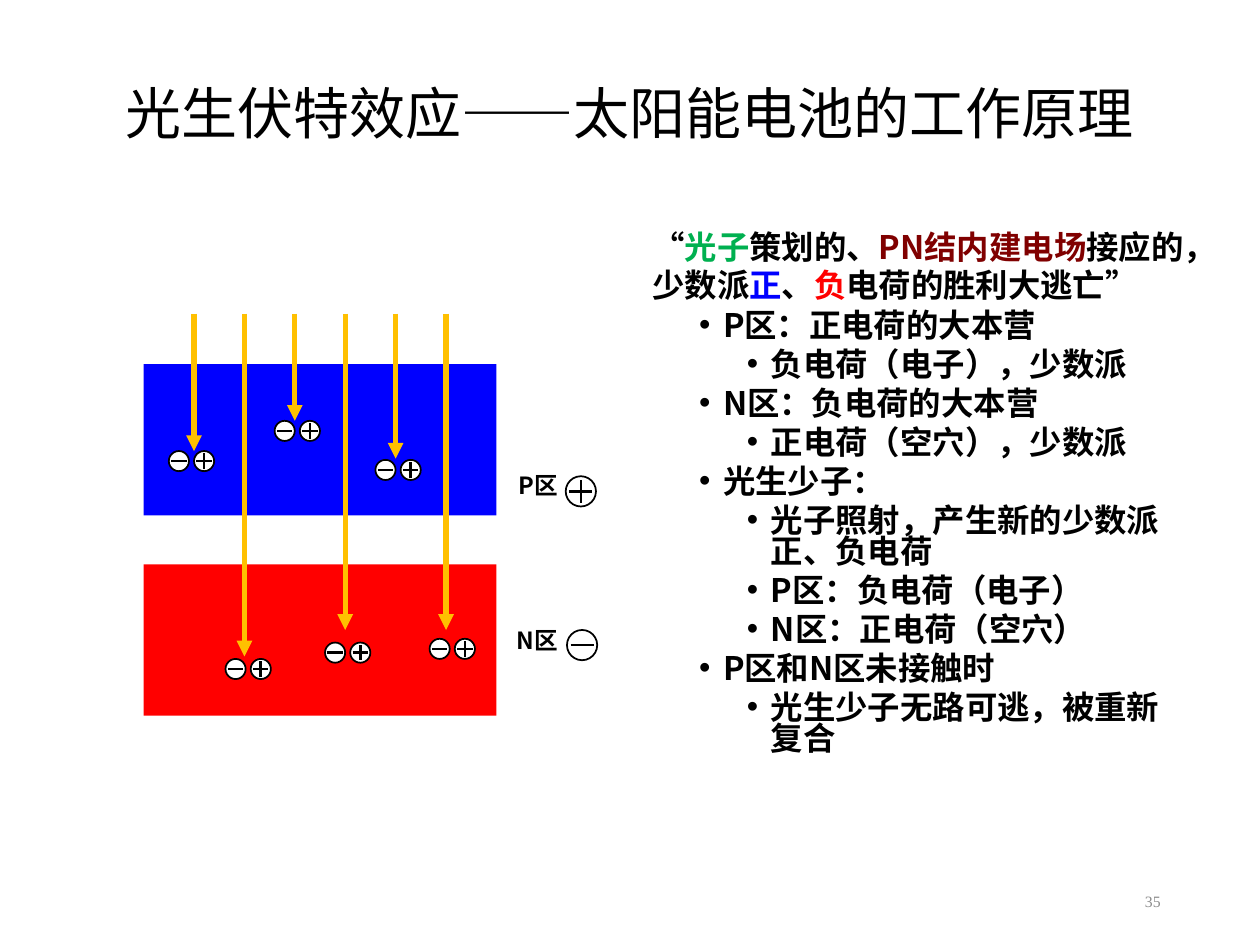
from lxml.etree import SubElement
from pptx import Presentation
from pptx.dml.color import RGBColor
from pptx.enum.shapes import MSO_CONNECTOR as Connector, MSO_SHAPE as Shape
from pptx.enum.text import MSO_ANCHOR as Anchor, PP_ALIGN as Align
from pptx.oxml.ns import qn
from pptx.util import Inches, Pt

SANS = "Noto Sans CJK SC"
SERIF = "Times New Roman"
COLORS = {
    "black": "000000", "white": "FFFFFF", "gray": "8C8C8C", "green": "00B050",
    "maroon": "800000", "blue": "0000FF", "red": "FF0000", "light": "FFC000",
}
SLOGAN = [
    ("“", "black"), ("光子", "green"), ("策划的、", "black"),
    ("PN结内建电场", "maroon"), ("接应的，少数派", "black"), ("正", "blue"),
    ("、", "black"), ("负", "red"), ("电荷的胜利大逃亡”", "black"),
]
BULLETS = [
    (1, "P区：正电荷的大本营"),
    (2, "负电荷（电子），少数派"),
    (1, "N区：负电荷的大本营"),
    (2, "正电荷（空穴），少数派"),
    (1, "光生少子："),
    (2, "光子照射，产生新的少数派正、负电荷"),
    (2, "P区：负电荷（电子）"),
    (2, "N区：正电荷（空穴）"),
    (1, "P区和N区未接触时"),
    (2, "光生少子无路可逃，被重新复合"),
]
BULLET_INDENTS = {1: 0.56, 2: 0.94}
LIGHT_TOP = 2.49
LIGHT_ENDS = [3.58, 5.21, 3.34, 5, 3.64, 5]
PAIRS = [(1.34, 3.58), (1.79, 5.23), (2.18, 3.34), (2.58, 5.1), (2.98, 3.65), (3.41, 5.07)]


def color(name):
    return RGBColor.from_string(COLORS[name])


def format_run(run, size, font, color_name, bold=False):
    run.font.size = Pt(size)
    run.font.name = font
    run.font.bold = bold
    run.font.color.rgb = color(color_name)
    if font == SANS:
        SubElement(run.font._element, qn("a:ea"), typeface=font)


def add_text(slide, box, text, size, font, color_name, align, bold=False, wrap=True):
    shape = slide.shapes.add_textbox(*map(Inches, box))
    frame = shape.text_frame
    frame.word_wrap = wrap
    frame.text = text
    paragraph = frame.paragraphs[0]
    paragraph.alignment = align
    format_run(paragraph.runs[0], size, font, color_name, bold)
    return shape


def add_title(slide, text):
    title = slide.shapes.title
    title.left, title.top, title.width, title.height = map(Inches, (0.5, 0.3, 9, 1.25))
    frame = title.text_frame
    frame.text = text
    frame.vertical_anchor = Anchor.MIDDLE
    paragraph = frame.paragraphs[0]
    paragraph.alignment = Align.CENTER
    paragraph.line_spacing = 0.9
    format_run(paragraph.runs[0], 32, SERIF, "black")


def add_bullet(paragraph, level):
    paragraph.level = level
    paragraph.line_spacing = 0.8
    paragraph.space_before = Pt(4.5)
    properties = paragraph._p.get_or_add_pPr()
    properties.set("marL", str(Inches(BULLET_INDENTS[level])))
    properties.set("indent", str(Inches(-0.19)))
    SubElement(properties, qn("a:buFont"), typeface="Arial")
    SubElement(properties, qn("a:buChar"), char="•")


def add_explanation(slide):
    shape = slide.shapes.add_textbox(*map(Inches, (5.08, 1.75, 4.42, 4.95)))
    frame = shape.text_frame
    frame.word_wrap = True
    for text, color_name in SLOGAN:
        run = frame.paragraphs[0].add_run()
        run.text = text
        format_run(run, 18.5, SANS, color_name, True)
    for level, text in BULLETS:
        paragraph = frame.add_paragraph()
        paragraph.text = text
        add_bullet(paragraph, level)
        format_run(paragraph.runs[0], 18.5, SANS, "black", True)


def add_shape(slide, kind, box, fill, line=None):
    shape = slide.shapes.add_shape(kind, *map(Inches, box))
    shape.shadow.inherit = False
    shape.fill.solid()
    shape.fill.fore_color.rgb = color(fill)
    if line:
        shape.line.color.rgb = color(line)
        shape.line.width = Pt(1)
    else:
        shape.line.fill.background()


def add_line(slide, start, end, color_name, width, arrow=False):
    line = slide.shapes.add_connector(Connector.STRAIGHT, *map(Inches, (*start, *end)))
    line.line.color.rgb = color(color_name)
    line.line.width = Pt(width)
    if arrow:
        SubElement(line.line._get_or_add_ln(), qn("a:tailEnd"), type="triangle")
    SubElement(line._element.spPr, qn("a:effectLst"))


def add_charge(slide, left, top, size, positive):
    add_shape(slide, Shape.OVAL, (left, top, size, size), "white", "black")
    x, y, arm = left + size / 2, top + size / 2, size * 0.38
    add_line(slide, (x - arm, y), (x + arm, y), "black", 1.5)
    if positive:
        add_line(slide, (x, y - arm), (x, y + arm), "black", 1.5)


def add_region(slide, top, fill, label, label_box, charge_at, positive):
    add_shape(slide, Shape.RECTANGLE, (1.14, top, 2.8, 1.2), fill)
    add_text(slide, label_box, label, 13.5, SANS, "black", Align.CENTER, True, False)
    add_charge(slide, *charge_at, 0.24, positive)


def main():
    presentation = Presentation()
    presentation.slide_width = Inches(10)
    presentation.slide_height = Inches(7.5)
    slide = presentation.slides.add_slide(presentation.slide_layouts[5])
    add_title(slide, "光生伏特效应——太阳能电池的工作原理")
    add_explanation(slide)
    number = add_text(slide, (7.06, 6.95, 2.25, 0.4), "35", 9, SERIF, "gray", Align.RIGHT)
    number.text_frame.vertical_anchor = Anchor.MIDDLE
    add_region(slide, 2.89, "blue", "P区", (3.92, 3.69, 0.7, 0.44), (4.49, 3.78), True)
    add_region(slide, 4.48, "red", "N区", (3.89, 4.92, 0.75, 0.44), (4.5, 5), False)
    for index, end in enumerate(LIGHT_ENDS):
        x = 1.54 + 0.4 * index
        add_line(slide, (x, LIGHT_TOP), (x, end), "light", 3, True)
    for left, top in PAIRS:
        add_charge(slide, left + 0.2, top, 0.16, True)
        add_charge(slide, left, top, 0.16, False)
    presentation.save("out.pptx")


if __name__ == "__main__":
    main()
